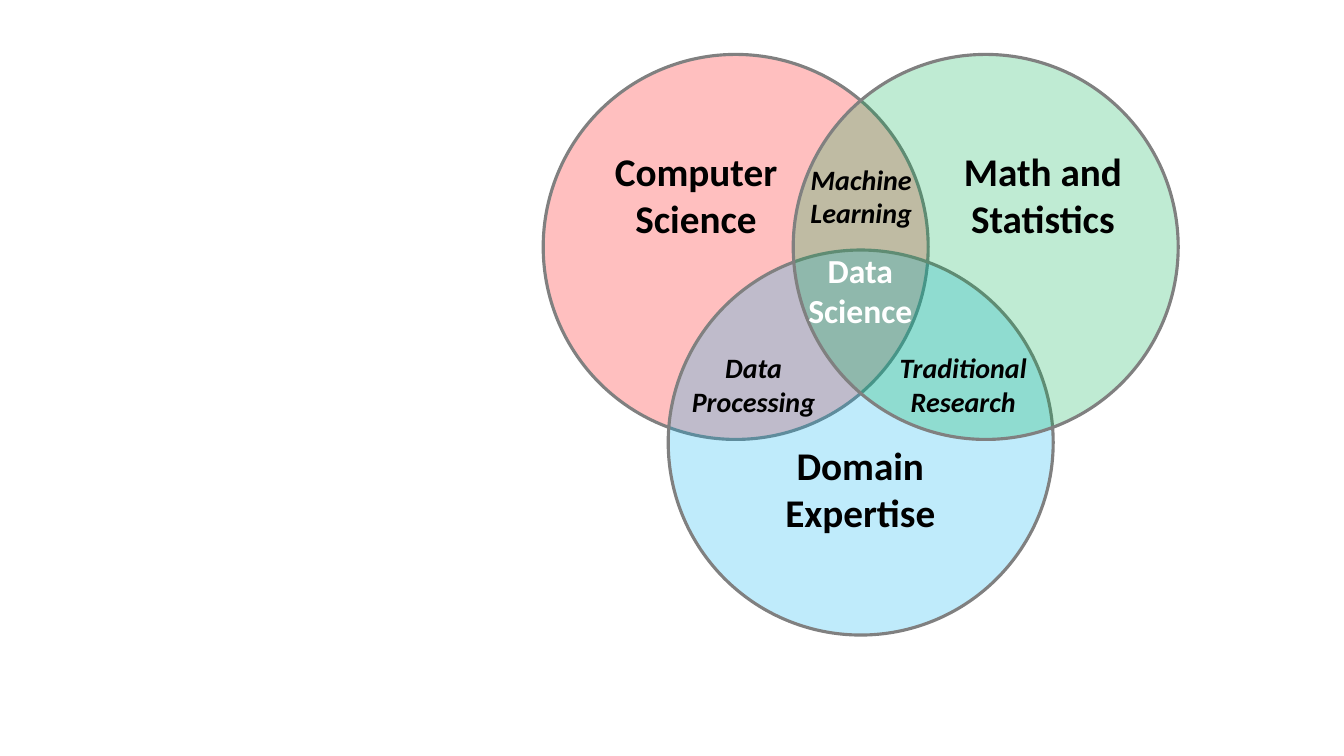
"""Build a three-circle Venn diagram of data science."""
import pptx
import pptx.dml.color
import pptx.enum.shapes
import pptx.enum.text
import pptx.util
from lxml import etree

Pt = pptx.util.Pt
RGB = pptx.dml.color.RGBColor.from_string
HUES = {"red": "FF0000", "blue": "00B0F0", "green": "00B050",
        "gray": "808080", "black": "000000", "white": "FFFFFF"}

deck = pptx.Presentation()
deck.slide_width, deck.slide_height = Pt(960), Pt(540)
slide = deck.slides.add_slide(deck.slide_layouts[6])


def label(text, left, top, width, height, size, hue="black", italic=False):
    box = slide.shapes.add_textbox(Pt(left), Pt(top), Pt(width), Pt(height))
    frame = box.text_frame
    frame.word_wrap = True
    frame.auto_size = pptx.enum.text.MSO_AUTO_SIZE.SHAPE_TO_FIT_TEXT
    line = frame.paragraphs[0]
    line.alignment = pptx.enum.text.PP_ALIGN.CENTER
    run = line.add_run()
    run.text = text
    font = run.font
    font.name, font.size, font.bold, font.italic = "Calibri", Pt(size), True, italic
    font.color.rgb = RGB(HUES[hue])


LEFT, TOP, STEP, DROP, SIDE = 388, 38.9, 89.3, 139.7, 275
for index, hue in enumerate(["red", "blue", "green"]):
    top = TOP + DROP * (index % 2)
    disc = slide.shapes.add_shape(
        pptx.enum.shapes.MSO_SHAPE.OVAL,
        Pt(LEFT + STEP * index), Pt(top), Pt(SIDE), Pt(SIDE))
    disc.shadow.inherit = False
    disc.fill.solid()
    disc.fill.fore_color.rgb = RGB(HUES[hue])
    tint = disc.fill._xPr.find(".//" + pptx.oxml.ns.qn("a:srgbClr"))
    etree.SubElement(tint, pptx.oxml.ns.qn("a:alpha"), val="25000")
    disc.line.color.rgb = RGB(HUES["gray"])
    disc.line.width = Pt(2.25)

for text, left, top in [("Computer Science", 395.3, 101.5),
                        ("Math and Statistics", 643, 101.5),
                        ("Domain Expertise", 512.6, 311.8)]:
    label(text, left, top, 203.8, 74.9, 28)

label("Data Science", 555.1, 175, 118.8, 65.5, 24, hue="white")

for text, left, top in [("Machine Learning", 555.8, 112.3),
                        ("Traditional Research", 628.6, 247),
                        ("Data Processing", 478.8, 247)]:
    label(text, left, top, 118.8, 55.4, 20, italic=True)

deck.save("out.pptx")
